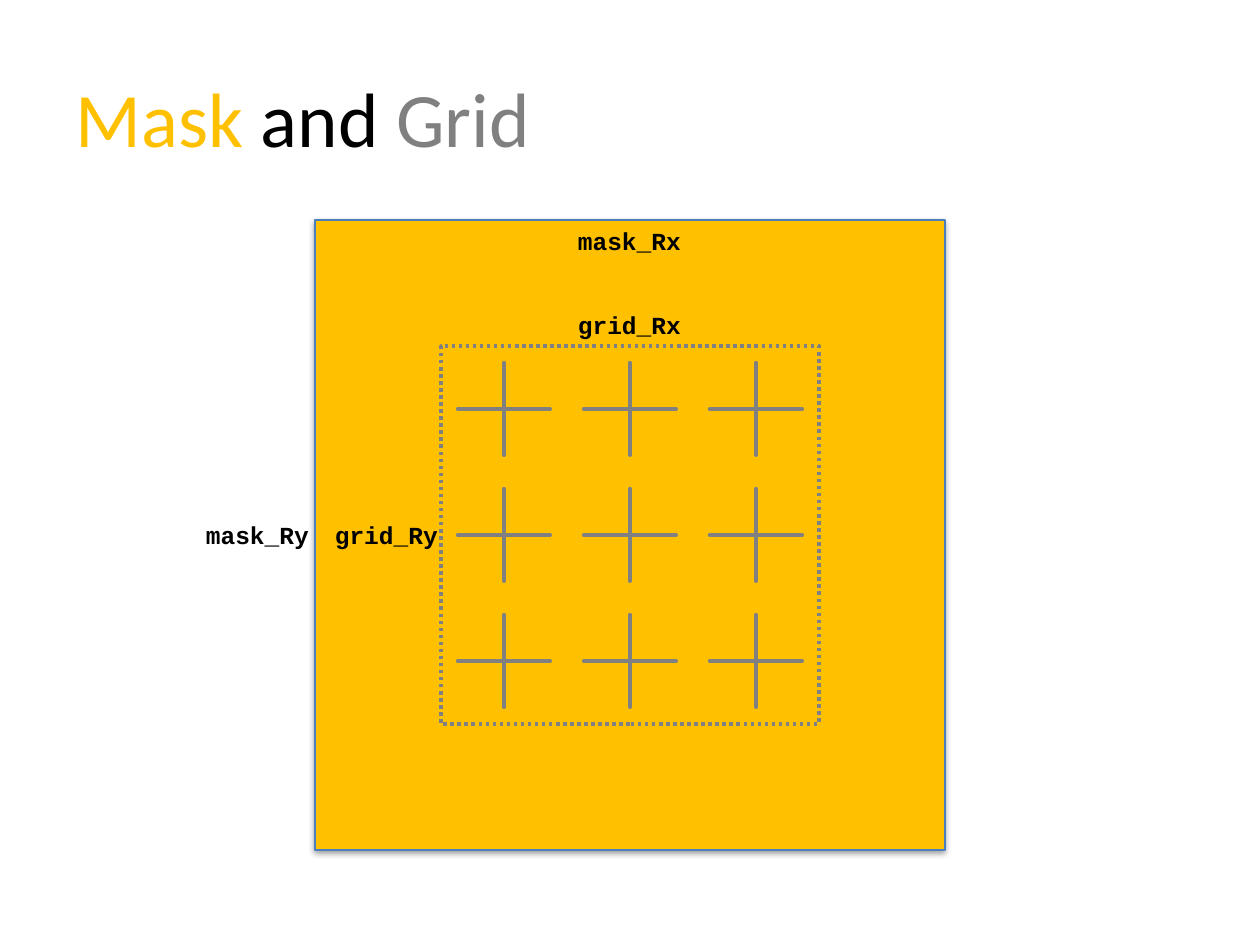
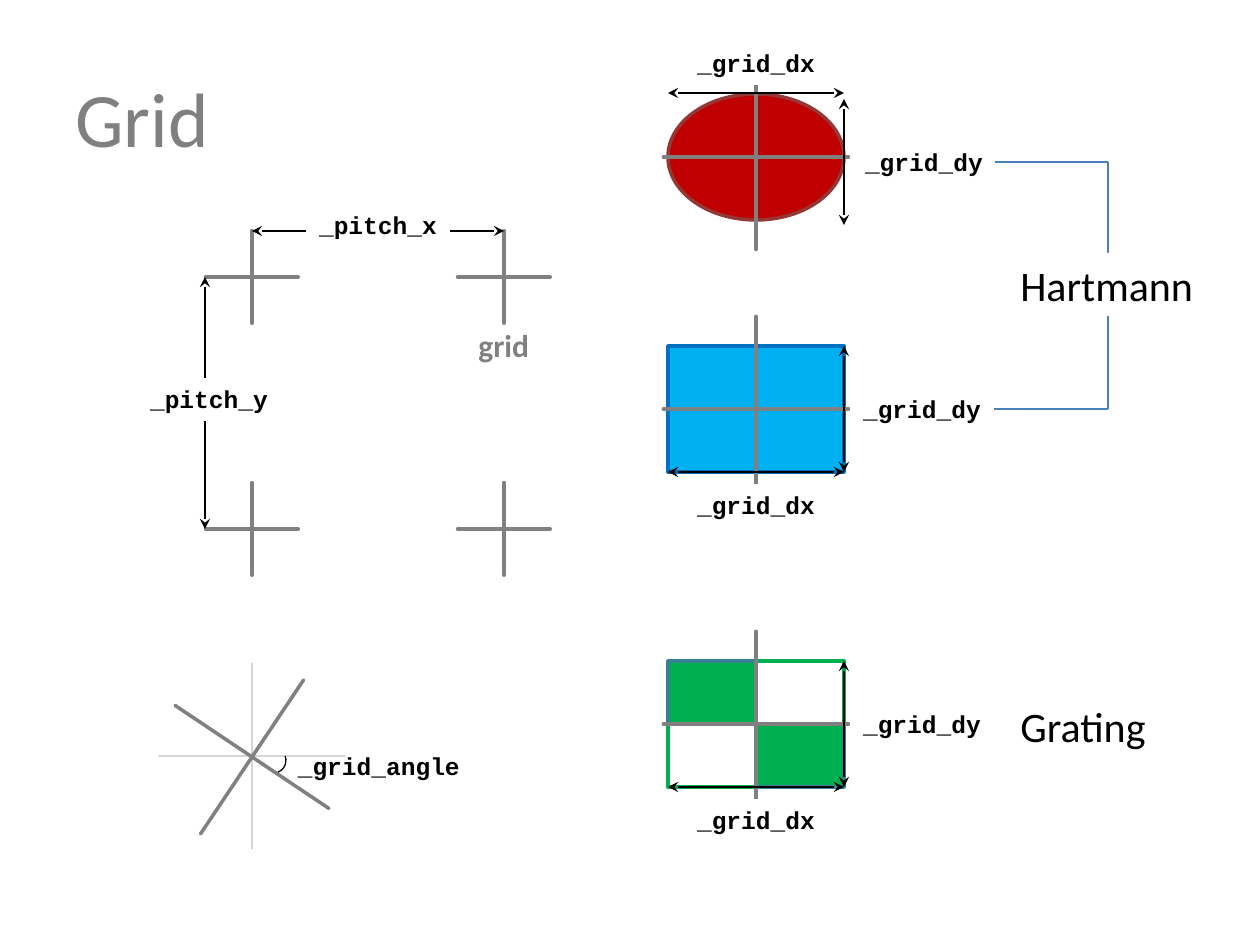
from dataclasses import dataclass
from itertools import product
from typing import Any, NamedTuple, Optional

from lxml.etree import SubElement
from pptx import Presentation
from pptx.dml.color import RGBColor
from pptx.enum.dml import MSO_LINE_DASH_STYLE as Dash
from pptx.enum.shapes import MSO_CONNECTOR as Connector
from pptx.enum.shapes import MSO_SHAPE as Shape
from pptx.enum.text import MSO_ANCHOR as Anchor
from pptx.enum.text import MSO_AUTO_SIZE as AutoSize
from pptx.enum.text import PP_ALIGN as Align
from pptx.oxml.ns import qn
from pptx.util import Emu, Pt

EMU_PER_PIXEL = 914400 / 126
INCH = 126

BLACK = RGBColor(0x00, 0x00, 0x00)
WHITE = RGBColor(0xFF, 0xFF, 0xFF)
GOLD = RGBColor(0xFF, 0xC0, 0x00)
GRAY = RGBColor(0x80, 0x80, 0x80)
PALE_GRAY = RGBColor(0xD5, 0xD5, 0xD5)
STEEL = RGBColor(0x4B, 0x7E, 0xBC)
RED = RGBColor(0xC0, 0x00, 0x00)
DARK_RED = RGBColor(0x95, 0x37, 0x35)
SKY = RGBColor(0x00, 0xB0, 0xF0)
BLUE = RGBColor(0x00, 0x70, 0xC0)
GREEN = RGBColor(0x00, 0xB0, 0x50)
TEAL = RGBColor(0x37, 0x7F, 0x92)

TITLE = {"name": "Calibri", "size": Pt(44), "bold": False}
CODE = {"name": "Courier New", "size": Pt(14), "bold": True}
GRID_NOTE = {"name": "Calibri", "size": Pt(18), "bold": True}
FAMILY = {"name": "Calibri", "size": Pt(24), "bold": False}

CODE_HEIGHT = 43
DIMENSION_WIDTH = 144


class Box(NamedTuple):
    left: int
    top: int
    width: int
    height: int


class Stroke(NamedTuple):
    color: RGBColor
    points: float


class Run(NamedTuple):
    text: str
    color: RGBColor = BLACK


GRID_STROKE = Stroke(GRAY, 2)
ARROW_STROKE = Stroke(BLACK, 1.5)
BRACKET_STROKE = Stroke(STEEL, 0.75)


@dataclass(frozen=True)
class Label:
    run: Run
    box: Box
    style: dict[str, Any]
    align: Align = Align.CENTER
    fill: Optional[RGBColor] = None


@dataclass(frozen=True)
class Tile:
    outline: Shape
    box: Box
    fill: RGBColor
    stroke: Stroke


@dataclass(frozen=True)
class Opening:
    top: int
    tiles: tuple[Tile, ...]
    dx_arrow: int = 126
    dx_label: int = 138
    dy_shift: int = 0
    dy_label_left: int = 850


def px(length: float) -> Emu:
    return Emu(round(length * EMU_PER_PIXEL))


def place(box: Box) -> list[Emu]:
    return [px(length) for length in box]


def set_stroke(line: Any, stroke: Stroke) -> None:
    line.color.rgb = stroke.color
    line.width = Pt(stroke.points)


def add_figure(canvas: Any, outline: Shape, box: Box, stroke: Stroke,
               fill: Optional[RGBColor] = None, turn: float = 0) -> Any:
    figure = canvas.add_shape(outline, *place(box))
    figure.shadow.inherit = False
    figure.rotation = turn
    set_stroke(figure.line, stroke)
    if fill is None:
        figure.fill.background()
    else:
        figure.fill.solid()
        figure.fill.fore_color.rgb = fill
    return figure


def add_cross(canvas: Any, left: int, top: int, size: int = INCH,
              stroke: Stroke = GRID_STROKE, turn: float = 0) -> None:
    cross = add_figure(canvas, Shape.MATH_PLUS, Box(left, top, size, size), stroke, turn=turn)
    cross.adjustments[0] = 0


def add_line(canvas: Any, start: tuple[int, int], end: tuple[int, int],
             stroke: Stroke = ARROW_STROKE, arrows: bool = True) -> None:
    line = canvas.add_connector(Connector.STRAIGHT, *map(px, start + end))
    set_stroke(line.line, stroke)
    if arrows:
        for tip in ("a:headEnd", "a:tailEnd"):
            SubElement(line.line._ln, qn(tip), type="stealth")
    SubElement(line._element.spPr, qn("a:effectLst"))


def write(paragraph: Any, runs: tuple[Run, ...], style: dict[str, Any]) -> None:
    for text, color in runs:
        run = paragraph.add_run()
        run.text = text
        run.font.color.rgb = color
        for attribute, value in style.items():
            setattr(run.font, attribute, value)


def add_label(canvas: Any, label: Label) -> None:
    if label.fill is None:
        holder = canvas.add_textbox(*place(label.box))
    else:
        holder = canvas.add_shape(Shape.RECTANGLE, *place(label.box))
        holder.shadow.inherit = False
        holder.fill.solid()
        holder.fill.fore_color.rgb = label.fill
        holder.line.fill.background()
    frame = holder.text_frame
    layout = {"word_wrap": False, "auto_size": AutoSize.SHAPE_TO_FIT_TEXT,
              "vertical_anchor": Anchor.TOP}
    for attribute, value in layout.items():
        setattr(frame, attribute, value)
    frame.paragraphs[0].alignment = label.align
    write(frame.paragraphs[0], (label.run,), label.style)


def add_code(canvas: Any, text: str, left: int, top: int, width: int,
             fill: Optional[RGBColor] = None) -> None:
    add_label(canvas, Label(Run(text), Box(left, top, width, CODE_HEIGHT), CODE, fill=fill))


def add_dimension(canvas: Any, text: str, left: int, top: int) -> None:
    add_code(canvas, text, left, top, DIMENSION_WIDTH, WHITE)


def add_title(canvas: Any, width: int, *runs: Run) -> None:
    frame = canvas.add_textbox(*place(Box(63, 38, width, 157))).text_frame
    frame.word_wrap = True
    frame.vertical_anchor = Anchor.MIDDLE
    write(frame.paragraphs[0], runs, TITLE)


def add_mask_shadow(mask: Any) -> None:
    shadow = SubElement(mask._element.spPr.find(qn("a:effectLst")), qn("a:outerShdw"),
                        blurRad="39400", dist="20300", dir="5400000", rotWithShape="0")
    color = SubElement(shadow, qn("a:srgbClr"), val=str(BLACK))
    SubElement(color, qn("a:alpha"), val="38000")


def draw_mask_slide(canvas: Any) -> None:
    add_title(canvas, 1134, Run("Mask ", GOLD), Run("and "), Run("Grid", GRAY))
    mask = add_figure(canvas, Shape.RECTANGLE, Box(315, 220, 630, 630), BRACKET_STROKE, GOLD)
    add_mask_shadow(mask)
    for row, column in product(range(3), repeat=2):
        add_cross(canvas, 441 + column * INCH, 346 + row * INCH)
    border = add_figure(canvas, Shape.RECTANGLE, Box(441, 346, 378, 378), GRID_STROKE)
    border.line.dash_style = Dash.ROUND_DOT
    for text, left, top in (("mask_Rx", 565, 220), ("mask_Ry", 193, 514),
                            ("grid_Rx", 565, 304), ("grid_Ry", 322, 514)):
        add_code(canvas, text, left, top, 129)


def draw_pitch(canvas: Any) -> None:
    pitch = 2 * INCH
    for row, column in product(range(2), repeat=2):
        add_cross(canvas, 189 + column * pitch, 214 + row * pitch)
    add_line(canvas, (252, 231), (252 + pitch, 231))
    add_dimension(canvas, "_pitch_x", 306, 204)
    add_line(canvas, (205, 277), (205, 277 + pitch))
    add_dimension(canvas, "_pitch_y", 137, 378)
    add_label(canvas, Label(Run("grid", GRAY), Box(466, 320, 77, 50), GRID_NOTE, Align.LEFT))


def draw_opening(canvas: Any, opening: Opening) -> None:
    left, right, top = 668, 844, opening.top
    for tile in opening.tiles:
        box = tile.box._replace(left=left + tile.box.left, top=top + tile.box.top)
        add_figure(canvas, tile.outline, box, tile.stroke, tile.fill)
    add_cross(canvas, 630, top - 63, 2 * INCH)
    dx_level = top + opening.dx_arrow
    dy_start = top + opening.dy_shift
    add_line(canvas, (left, dx_level), (right, dx_level))
    add_dimension(canvas, "_grid_dx", 684, top + opening.dx_label)
    add_line(canvas, (right, dy_start), (right, dy_start + INCH))
    add_dimension(canvas, "_grid_dy", opening.dy_label_left, dy_start + 42)


def draw_angle(canvas: Any) -> None:
    add_cross(canvas, 126, 630, 2 * INCH, Stroke(PALE_GRAY, 1.5))
    add_cross(canvas, 126, 631, 2 * INCH, turn=33.8)
    add_figure(canvas, Shape.ARC, Box(261, 748, 25, 25), Stroke(BLACK, 0.75), turn=69.3)
    add_code(canvas, "_grid_angle", 285, 745, 188)


def draw_families(canvas: Any) -> None:
    add_label(canvas, Label(Run("Grating"), Box(1008, 694, 152, 63), FAMILY, Align.LEFT))
    spine, upper, lower = 1108, 162, 409
    for start, end in (((995, upper), (spine, upper)), ((994, lower), (spine, lower)),
                       ((spine, upper), (spine, lower))):
        add_line(canvas, start, end, BRACKET_STROKE, arrows=False)
    add_label(canvas, Label(Run("Hartmann"), Box(1008, 253, 200, 63), FAMILY, Align.LEFT, WHITE))


def grating_tile(row: int, column: int) -> Tile:
    solid = row == column
    return Tile(Shape.RECTANGLE, Box(column * 88, row * 63, 88, 63),
                GREEN if solid else WHITE, Stroke(TEAL if solid else GREEN, 2))


FULL = Box(0, 0, 176, 126)
OPENINGS = (
    Opening(346, (Tile(Shape.RECTANGLE, FULL, SKY, Stroke(BLUE, 2)),)),
    Opening(94, (Tile(Shape.OVAL, FULL, RED, Stroke(DARK_RED, 2)),),
            dx_arrow=-1, dx_label=-52, dy_shift=5, dy_label_left=852),
    Opening(661, tuple(grating_tile(*cell) for cell in product(range(2), repeat=2))),
)


def draw_grid_slide(canvas: Any) -> None:
    add_title(canvas, 567, Run("Grid", GRAY))
    draw_pitch(canvas.add_group_shape().shapes)
    for opening in OPENINGS:
        draw_opening(canvas.add_group_shape().shapes, opening)
    draw_families(canvas)
    draw_angle(canvas)


def main() -> None:
    deck = Presentation()
    deck.slide_width = px(1260)
    deck.slide_height = px(945)
    for draw in (draw_mask_slide, draw_grid_slide):
        draw(deck.slides.add_slide(deck.slide_layouts[6]).shapes)
    deck.save("out.pptx")


main()
